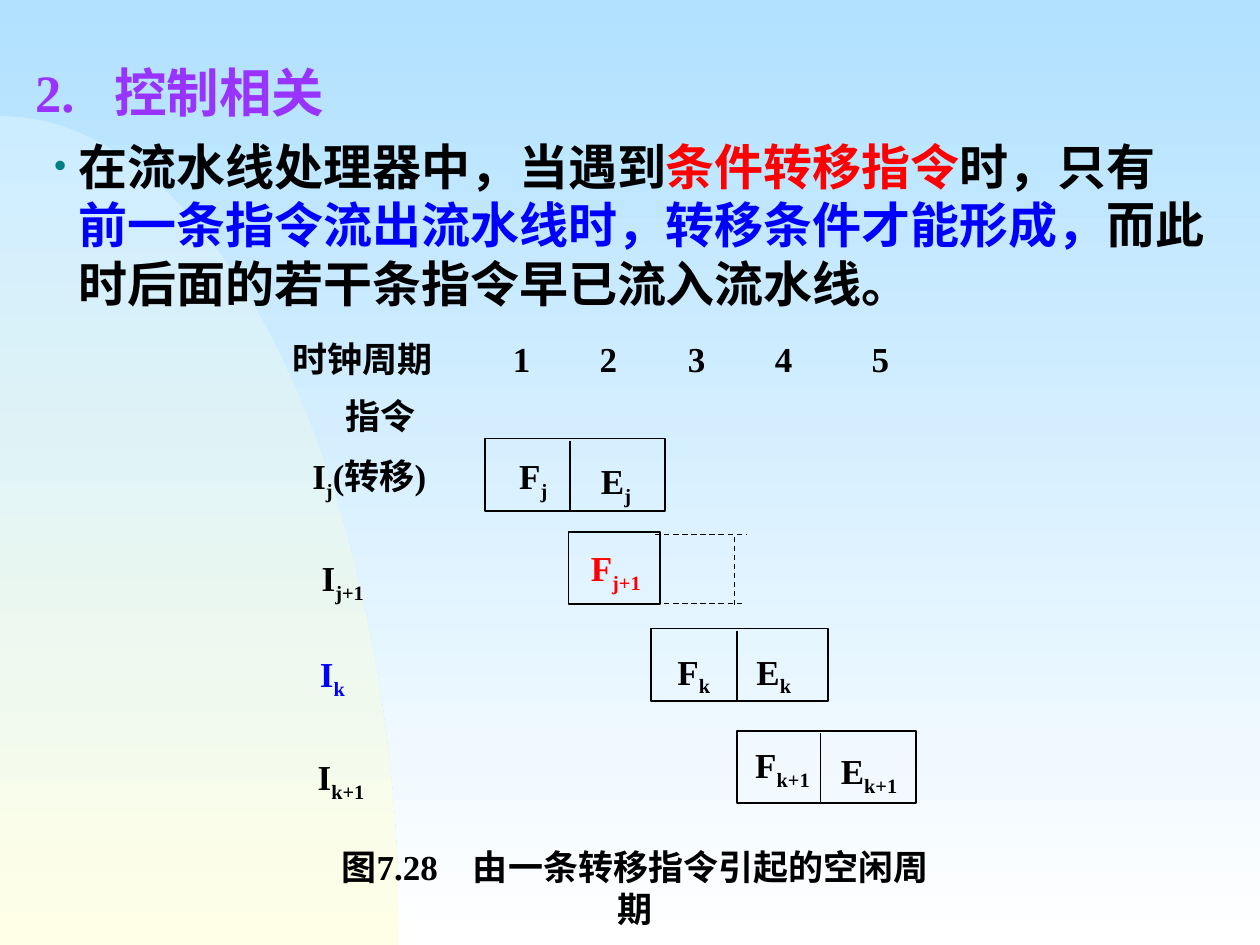
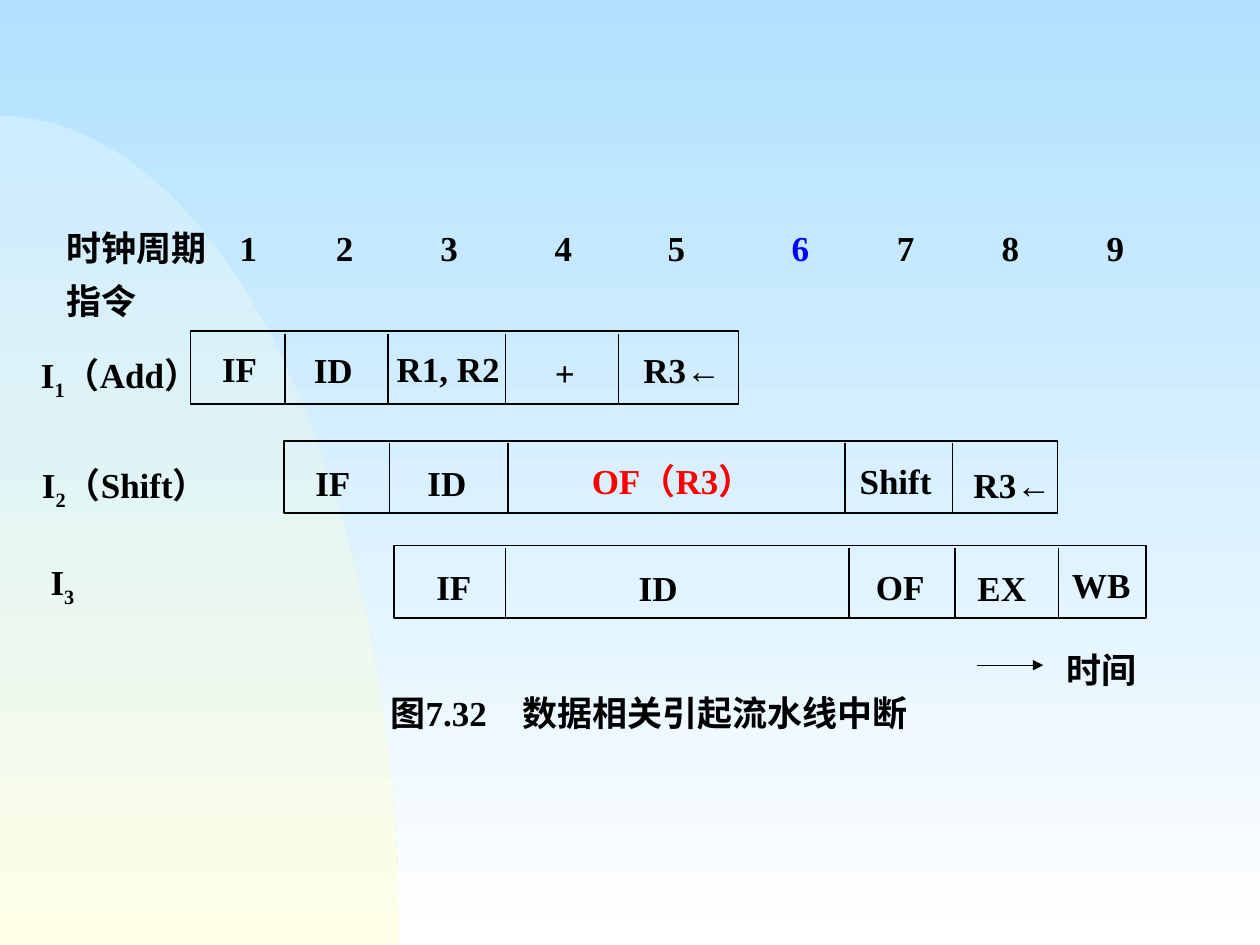
"""Builds two slides on control and data hazards in an instruction pipeline."""
from dataclasses import dataclass
from math import cos, pi, sin
from typing import NamedTuple

from lxml.etree import SubElement
from pptx import Presentation
from pptx.dml.color import RGBColor
from pptx.dml.fill import FillFormat
from pptx.enum.dml import MSO_LINE
from pptx.enum.shapes import MSO_CONNECTOR, MSO_SHAPE
from pptx.enum.text import PP_ALIGN
from pptx.oxml.ns import qn
from pptx.slide import Slide
from pptx.util import Cm, Pt

DASH = MSO_LINE.DASH
STRAIGHT = MSO_CONNECTOR.STRAIGHT
RECTANGLE = MSO_SHAPE.RECTANGLE
LEFT, CENTER = PP_ALIGN.LEFT, PP_ALIGN.CENTER


@dataclass(frozen=True)
class Theme:
    """Colours, fonts and type sizes shared by the deck."""
    ink: str = "000000"
    stress: str = "FF0000"
    focus: str = "0000FF"
    heading: str = "9933FF"
    bullet: str = "008080"
    sky: tuple[str, str] = ("B1E1FF", "FFFFFF")
    dune: tuple[str, str] = ("CCECFF", "FFFFE7")
    latin: str = "Times New Roman"
    asian: str = "Noto Sans CJK SC"
    bullet_font: str = "Arial"
    heading_size: int = 30
    body_size: int = 28
    label_size: int = 20
    line_height: float = 1.2


THEME = Theme()
PAGE_WIDTH, PAGE_HEIGHT = 25.4, 19.05
DUNE_WIDTH, DUNE_HEIGHT = 8.05, 16.71
DUNE_STEPS = 60
BAR_HEIGHT = 1.46
LABEL_HEIGHT = 1.0


class Span(NamedTuple):
    """A stretch of text, where every second part between bars is a subscript."""
    text: str
    color: str = THEME.ink
    break_after: bool = False


class Line(NamedTuple):
    """One paragraph with its tab stops in centimetres."""
    spans: tuple[Span, ...]
    tabs: tuple[float, ...] = ()
    bullet: bool = False


@dataclass(frozen=True)
class TextBlock:
    """A text box and its style."""
    left: float
    top: float
    width: float
    height: float
    lines: tuple[Line, ...]
    size: int = THEME.label_size
    align: PP_ALIGN = LEFT
    inset: float = 0.25
    latin: str = THEME.latin


class Label(NamedTuple):
    """A short centred text of the pipeline diagram."""
    text: str
    left: float
    top: float
    width: float
    color: str = THEME.ink
    inset: float = 0.25


class Bar(NamedTuple):
    """The stages of one instruction, split at the divider positions."""
    left: float
    top: float
    width: float
    dividers: tuple[float, ...] = ()


class Stroke(NamedTuple):
    """A thin dashed line or arrow."""
    start: tuple[float, float]
    end: tuple[float, float]
    dashed: bool = False
    arrow: bool = False


@dataclass(frozen=True)
class Diagram:
    """Everything drawn on one page."""
    blocks: tuple[TextBlock, ...]
    bars: tuple[Bar, ...]
    labels: tuple[Label, ...]
    strokes: tuple[Stroke, ...]


CONTROL_HAZARD = Diagram(
    blocks=(
        TextBlock(0.46, 1.09, 6.99, 1.52, (
            Line((Span("2.\t控制相关", THEME.heading),), (1.59,)),), THEME.heading_size),
        TextBlock(0.84, 2.62, 23.93, 3.81, (Line((
            Span("在流水线处理器中，当遇到"),
            Span("条件转移指令", THEME.stress),
            Span("时，只有", break_after=True),
            Span("前一条指令流出流水线时，转移条件才能形成，", THEME.focus),
            Span("而此时后面的若干条指令早已流入流水线。")), bullet=True),),
            THEME.body_size, latin=THEME.asian),
        TextBlock(5.64, 6.68, 14.88, 1.98, (
            Line((Span("时钟周期\t1\t2\t3\t4\t5"),), (4.45, 6.2, 7.98, 9.73, 11.68)),)),
        TextBlock(6.38, 16.92, 12.85, 1.07, (
            Line((Span("图7.28　由一条转移指令引起的空闲周期"),)),), align=CENTER),
    ),
    bars=(
        Bar(9.78, 8.84, 3.63, (11.49,)),
        Bar(11.46, 10.72, 1.85),
        Bar(13.13, 12.67, 3.56, (14.85,)),
        Bar(14.86, 14.73, 3.61, (16.54,)),
    ),
    labels=(
        Label("指令", 6.38, 7.82, 2.57),
        Label("I|j|(转移)", 5.87, 9.04, 3.15),
        Label("F|j", 9.91, 9.04, 1.68),
        Label("E|j", 11.58, 9.14, 1.68),
        Label("I|j+1", 6.07, 11.1, 1.68),
        Label("F|j+1", 11.46, 10.9, 1.91, THEME.stress),
        Label("I|k", 5.99, 13.03, 1.42, THEME.focus),
        Label("F|k", 13.26, 12.98, 1.45),
        Label("E|k", 14.76, 12.98, 1.68),
        Label("I|k+1", 6.05, 15.11, 1.65),
        Label("F|k+1", 14.86, 14.86, 1.83),
        Label("E|k+1", 16.54, 14.99, 1.96),
    ),
    strokes=(
        Stroke((13.21, 10.77), (15.04, 10.77), dashed=True),
        Stroke((13.21, 12.17), (14.99, 12.17), dashed=True),
        Stroke((14.81, 10.82), (14.81, 12.27), dashed=True),
    ),
)

DATA_HAZARD = Diagram(
    blocks=(
        TextBlock(1.09, 4.45, 24.08, 1.98, (
            Line((Span("时钟周期\t1\t2\t3\t4\t5\t"), Span("6", THEME.focus), Span("\t7\t8\t9")),
                 (3.49, 5.43, 7.54, 9.84, 12.12, 14.62, 16.74, 18.85, 20.97)),
            Line((Span("指令"),)))),
        TextBlock(7.26, 13.82, 11.66, 1.04, (
            Line((Span("图7.32　数据相关引起流水线中断"),)),), align=CENTER),
    ),
    bars=(
        Bar(3.84, 6.68, 11.05, (5.74, 7.82, 10.19, 12.47)),
        Bar(5.72, 8.89, 15.6, (7.85, 10.24, 17.04, 19.2)),
        Bar(7.95, 11.0, 15.16, (10.19, 17.12, 19.25, 21.34)),
    ),
    labels=(
        Label("I|1|（Add）", 0.72, 7.01, 3.4, inset=0.05),
        Label("IF", 3.99, 6.88, 1.68),
        Label("ID", 5.97, 6.91, 1.5),
        Label("R1, R2", 7.7, 6.88, 2.67, inset=0.05),
        Label("+", 10.83, 6.96, 1.12),
        Label("R3←", 12.47, 6.91, 2.57),
        Label("I|2|（Shift）", 0.52, 9.22, 4.0),
        Label("IF", 5.87, 9.17, 1.68),
        Label("ID", 8.26, 9.17, 1.5),
        Label("OF（R3）", 11.25, 9.14, 4.62, THEME.stress),
        Label("Shift", 17.04, 9.14, 2.03),
        Label("R3←", 19.05, 9.22, 2.72),
        Label("I|3", 0.64, 11.18, 1.24),
        Label("IF", 8.31, 11.28, 1.68),
        Label("ID", 12.52, 11.3, 1.5),
        Label("OF", 17.4, 11.28, 1.5),
        Label("EX", 19.38, 11.3, 1.63),
        Label("WB", 21.36, 11.23, 1.68, inset=0.05),
        Label("时间", 21.16, 12.95, 2.08),
    ),
    strokes=(Stroke((19.69, 13.41), (21.03, 13.41), arrow=True),),
)


def rgb(color: str) -> RGBColor:
    """Turn a hex string into a colour."""
    return RGBColor.from_string(color)


def fill_downward(fill: FillFormat, colors: tuple[str, str]) -> None:
    """Fill with a gradient that runs from top to bottom."""
    fill.gradient()
    fill.gradient_angle = 270
    for position, (stop, color) in enumerate(zip(fill.gradient_stops, colors)):
        stop.position = position
        stop.color.rgb = rgb(color)


def draw_dune(page: Slide) -> None:
    """Draw the quarter ellipse in the lower left corner."""
    angles = [pi / 2 * step / DUNE_STEPS for step in range(DUNE_STEPS + 1)]
    points = [(Cm(DUNE_WIDTH * sin(angle)), Cm(PAGE_HEIGHT - DUNE_HEIGHT * cos(angle)))
              for angle in angles]
    builder = page.shapes.build_freeform(*points[0])
    builder.add_line_segments(points[1:] + [(Cm(0), Cm(PAGE_HEIGHT))], close=True)
    dune = builder.convert_to_shape()
    dune.shadow.inherit = False
    dune.line.fill.background()
    fill_downward(dune.fill, THEME.dune)


def draw_block(page: Slide, block: TextBlock) -> None:
    """Draw a text box with its paragraphs."""
    box = page.shapes.add_textbox(
        Cm(block.left), Cm(block.top), Cm(block.width), Cm(block.height))
    frame = box.text_frame
    frame.word_wrap = True
    frame.margin_left = frame.margin_right = Cm(block.inset)
    for index, line in enumerate(block.lines):
        para = frame.add_paragraph() if index else frame.paragraphs[0]
        para.alignment = block.align
        if index:
            para.space_before = Pt(6)
        if not any("|" in span.text for span in line.spans):
            para.line_spacing = Pt(block.size * THEME.line_height)
        properties = para._p.get_or_add_pPr()
        if line.bullet:
            properties.set("marL", str(Cm(0.5)))
            properties.set("indent", str(Cm(-0.5)))
            bullet_color = SubElement(properties, qn("a:buClr"))
            SubElement(bullet_color, qn("a:srgbClr"), val=THEME.bullet)
            SubElement(properties, qn("a:buSzPct"), val="71000")
            SubElement(properties, qn("a:buFont"), typeface=THEME.bullet_font)
            SubElement(properties, qn("a:buChar"), char="•")
        if line.tabs:
            stops = SubElement(properties, qn("a:tabLst"))
            for tab in line.tabs:
                SubElement(stops, qn("a:tab"), pos=str(Cm(tab)), algn="l")
        para.font.size = Pt(block.size)
        para.font.bold = True
        para.font.name = block.latin
        SubElement(para.font._element, qn("a:ea"), typeface=THEME.asian)
        for span in line.spans:
            for part, text in enumerate(span.text.split("|")):
                run = para.add_run()
                run.text = text
                run.font.color.rgb = rgb(span.color)
                if part % 2:
                    run._r.get_or_add_rPr().set("baseline", "-25000")
            if span.break_after:
                para.add_line_break()


def draw_label(page: Slide, label: Label) -> None:
    """Draw a centred one-paragraph label."""
    line = Line((Span(label.text, label.color),))
    draw_block(page, TextBlock(label.left, label.top, label.width, LABEL_HEIGHT, (line,),
                               align=CENTER, inset=label.inset))


def draw_stroke(page: Slide, stroke: Stroke, weight: float = 0.75) -> None:
    """Draw a straight line, dashed or with an arrowhead when asked."""
    connector = page.shapes.add_connector(
        STRAIGHT, *(Cm(value) for value in stroke.start + stroke.end))
    connector.line.color.rgb = rgb(THEME.ink)
    connector.line.width = Pt(weight)
    if stroke.dashed:
        connector.line.dash_style = DASH
    if stroke.arrow:
        SubElement(connector.line._get_or_add_ln(), qn("a:tailEnd"), type="triangle")
    SubElement(connector._element.spPr, qn("a:effectLst"))


def draw_bar(page: Slide, bar: Bar) -> None:
    """Draw an outlined bar and its stage dividers."""
    box = page.shapes.add_shape(
        RECTANGLE, Cm(bar.left), Cm(bar.top), Cm(bar.width), Cm(BAR_HEIGHT))
    box.shadow.inherit = False
    box.fill.background()
    box.line.color.rgb = rgb(THEME.ink)
    box.line.width = Pt(1)
    for x in bar.dividers:
        draw_stroke(page, Stroke((x, bar.top + 0.05), (x, bar.top + BAR_HEIGHT)), 1)


def main() -> None:
    """Build and save the deck."""
    deck = Presentation()
    deck.slide_width, deck.slide_height = Cm(PAGE_WIDTH), Cm(PAGE_HEIGHT)
    fill_downward(deck.slide_master.background.fill, THEME.sky)
    for diagram in (CONTROL_HAZARD, DATA_HAZARD):
        page = deck.slides.add_slide(deck.slide_layouts[6])
        draw_dune(page)
        for draw, items in ((draw_bar, diagram.bars), (draw_block, diagram.blocks),
                            (draw_label, diagram.labels), (draw_stroke, diagram.strokes)):
            for item in items:
                draw(page, item)
    deck.save("out.pptx")


if __name__ == "__main__":
    main()
